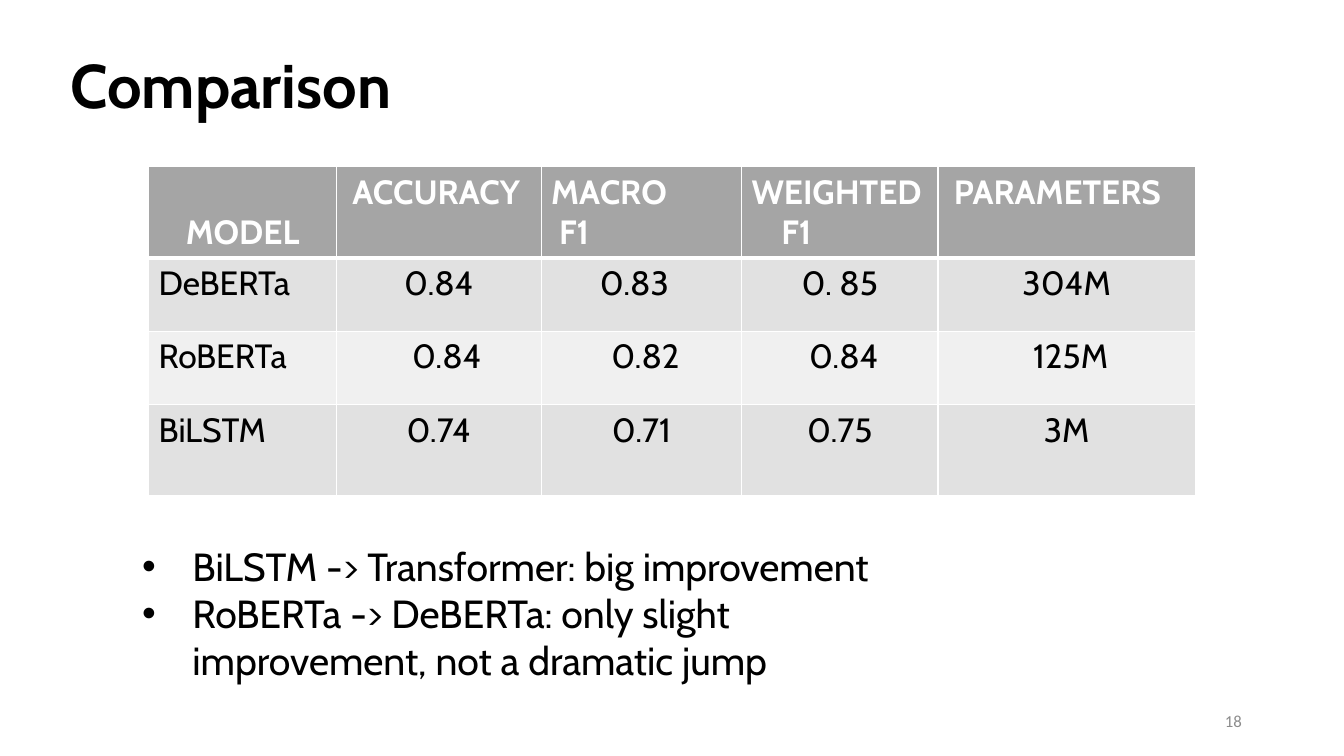
from lxml.etree import SubElement
from pptx import Presentation
from pptx.dml.color import RGBColor
from pptx.enum.text import MSO_ANCHOR, PP_ALIGN
from pptx.oxml.ns import qn
from pptx.util import Cm, Pt

HUES = {"ink": "000000", "white": "FFFFFF", "head": "A5A5A5",
        "dark": "E1E1E1", "light": "F0F0F0", "page": "8C8C8C"}

TITLE = "Comparison"
HEADS = [["MODEL"], ["ACCURACY"], ["MACRO", "F1"], ["WEIGHTED", "F1"], ["PARAMETERS"]]
ROWS = [
    ["DeBERTa", "0.84", "0.83", "0. 85", "304M"],
    ["RoBERTa", "0.84", "0.82", "0.84", "125M"],
    ["BiLSTM", "0.74", "0.71", "0.75", "3M"],
]
NOTES = [
    "BiLSTM -> Transformer: big improvement",
    "RoBERTa -> DeBERTa: only slight improvement, not a dramatic jump",
]
PAGE = "18"

WIDTHS = [4.73, 5.16, 5.05, 4.95, 6.48]
HEIGHTS = [2.3, 1.85, 1.85, 2.3]
FILLS = ["head", "dark", "light", "dark"]
LEFT_PAD = {(0, 1): 0.15, (0, 4): 0.15, (2, 1): 0.4, (2, 2): 0.2, (2, 3): 0.2, (2, 4): 0.2}
RIGHT_PAD = {(1, 2): 0.35}
DENTS = {2: 0.2, 3: 0.75}
INSET = 0.25

FONTS = {
    "title": {"name": "Cabin", "size": Pt(44), "bold": True},
    "head": {"name": "Cabin", "size": Pt(24), "bold": True},
    "cell": {"name": "Cabin", "size": Pt(24), "bold": False},
    "note": {"name": "Cabin", "size": Pt(28), "bold": False},
    "page": {"name": "Calibri", "size": Pt(12), "bold": False},
}


def paint(hue):
    return RGBColor.from_string(HUES[hue])


def write(frame, lines, style, hue, **form):
    for i, line in enumerate(lines):
        para = frame.paragraphs[0] if i == 0 else frame.add_paragraph()
        for key, value in form.items():
            setattr(para, key, value)
        run = para.add_run()
        run.text = line
        for key, value in FONTS[style].items():
            setattr(run.font, key, value)
        run.font.color.rgb = paint(hue)


def add_box(slide, area, anchor):
    frame = slide.shapes.add_textbox(*map(Cm, area)).text_frame
    frame.word_wrap = True
    frame.vertical_anchor = anchor
    return frame


def indent(para, left, first=0):
    props = para._p.get_or_add_pPr()
    props.set("marL", str(Cm(left)))
    props.set("indent", str(Cm(first)))
    return props


def edge(cell, row):
    thick = {(0, "lnB"): 3, (1, "lnT"): 3}
    props = cell._tc.get_or_add_tcPr()
    for side in ("lnL", "lnR", "lnT", "lnB"):
        line = SubElement(props, qn("a:" + side), w=str(Pt(thick.get((row, side), 1))))
        fill = SubElement(line, qn("a:solidFill"))
        SubElement(fill, qn("a:srgbClr"), val=HUES["white"])


def add_grid(slide):
    area = map(Cm, (3.75, 4.2, sum(WIDTHS), sum(HEIGHTS)))
    table = slide.shapes.add_table(len(HEIGHTS), len(WIDTHS), *area).table
    for col, width in zip(table.columns, WIDTHS):
        col.width = Cm(width)
    data = [HEADS] + [[[text] for text in row] for row in ROWS]
    for r, row in enumerate(data):
        table.rows[r].height = Cm(HEIGHTS[r])
        for c, lines in enumerate(row):
            cell = table.cell(r, c)
            edge(cell, r)
            cell.fill.solid()
            cell.fill.fore_color.rgb = paint(FILLS[r])
            cell.margin_left = Cm(INSET + LEFT_PAD.get((r, c), 0))
            cell.margin_right = Cm(INSET + RIGHT_PAD.get((r, c), 0))
            mid = (r == 0) == (c == 0)
            align = PP_ALIGN.CENTER if mid else PP_ALIGN.LEFT
            style, hue = ("cell", "ink") if r else ("head", "white")
            write(cell.text_frame, lines, style, hue, alignment=align)
    table.cell(0, 0).vertical_anchor = MSO_ANCHOR.BOTTOM
    for c, dent in DENTS.items():
        indent(table.cell(0, c).text_frame.paragraphs[1], dent)


def add_notes(slide):
    frame = add_box(slide, (3.33, 13.54, 20.6, 3.84), MSO_ANCHOR.TOP)
    write(frame, NOTES, "note", "ink")
    for para in frame.paragraphs:
        props = indent(para, 1.27, -1.27)
        SubElement(props, qn("a:buFont"), typeface="Arial")
        SubElement(props, qn("a:buChar"), char="•")


def main():
    deck = Presentation()
    deck.slide_width, deck.slide_height = Cm(33.87), Cm(19.05)
    slide = deck.slides.add_slide(deck.slide_layouts[6])
    title = add_box(slide, (1.52, 0.38, 29.21, 3.68), MSO_ANCHOR.MIDDLE)
    write(title, [TITLE], "title", "ink", line_spacing=0.9)
    add_grid(slide)
    page = add_box(slide, (23.93, 17.65, 7.62, 1.02), MSO_ANCHOR.MIDDLE)
    write(page, [PAGE], "page", "page", alignment=PP_ALIGN.RIGHT)
    add_notes(slide)
    deck.save("out.pptx")


if __name__ == "__main__":
    main()
